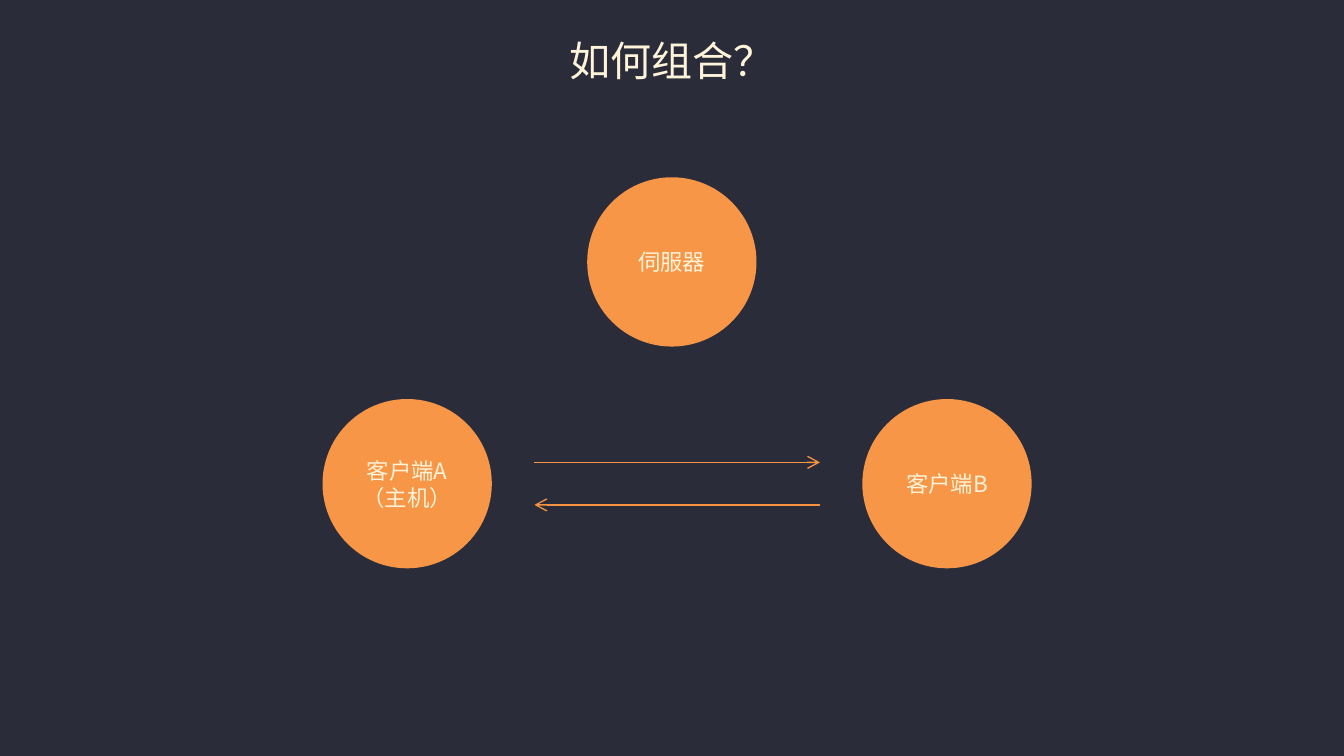
"""Builds a slide that asks how a server and two clients are combined."""
from lxml import etree
from pptx import Presentation
from pptx import util as u
from pptx.dml.color import RGBColor
from pptx.enum import lang, shapes, text
from pptx.oxml import ns

COLORS = {"background": "2A2C3A", "node": "F79646", "arrow": "F69240", "text": "FFF3D9"}
FONT = "Noto Sans CJK SC"
DIAMETER = 90.7
CLIENT_TOP = 213.8
NODES = [
    ("伺服器", 314.6, 95),
    ("客户端B", 462, CLIENT_TOP),
    ("客户端A（主机）", 172.8, CLIENT_TOP),
]
ARROW_LEFT, ARROW_RIGHT = 286.3, 439.3
ARROWS = [(ARROW_LEFT, ARROW_RIGHT, 247.7), (ARROW_RIGHT, ARROW_LEFT, 270.5)]


def color(name):
    return RGBColor.from_string(COLORS[name])


def write(shape, words, size):
    frame = shape.text_frame
    frame.word_wrap = True
    frame.vertical_anchor = text.MSO_ANCHOR.MIDDLE
    para = frame.paragraphs[0]
    para.alignment = text.PP_ALIGN.CENTER
    span = para.add_run()
    span.text = words
    span.font.size = u.Pt(size)
    span.font.name = FONT
    span.font.language_id = lang.MSO_LANGUAGE_ID.SIMPLIFIED_CHINESE
    span.font.color.rgb = color("text")
    east_asian = etree.SubElement(span.font._element, ns.qn("a:ea"))
    east_asian.set("typeface", FONT)


def add_title(slide, words):
    box = slide.shapes.add_textbox(u.Pt(36), u.Pt(15.1), u.Pt(648), u.Pt(33.8))
    write(box, words, 22)


def add_node(slide, words, left, top):
    node = slide.shapes.add_shape(
        shapes.MSO_SHAPE.OVAL, u.Pt(left), u.Pt(top), u.Pt(DIAMETER), u.Pt(DIAMETER))
    node.shadow.inherit = False
    node.fill.solid()
    node.fill.fore_color.rgb = color("node")
    node.line.fill.background()
    write(node, words, 12)


def add_arrow(slide, start, end, y):
    arrow = slide.shapes.add_connector(
        shapes.MSO_CONNECTOR.STRAIGHT, u.Pt(start), u.Pt(y), u.Pt(end), u.Pt(y))
    arrow.line.color.rgb = color("arrow")
    arrow.line.width = u.Pt(0.75)
    properties = arrow._element.spPr
    etree.SubElement(properties.find(ns.qn("a:ln")), ns.qn("a:tailEnd")).set("type", "arrow")
    etree.SubElement(properties, ns.qn("a:effectLst"))


def main():
    deck = Presentation()
    deck.slide_width, deck.slide_height = u.Pt(720), u.Pt(405)
    slide = deck.slides.add_slide(deck.slide_layouts[6])
    slide.background.fill.solid()
    slide.background.fill.fore_color.rgb = color("background")
    add_title(slide, "如何组合？")
    for words, left, top in NODES:
        add_node(slide, words, left, top)
    for start, end, y in ARROWS:
        add_arrow(slide, start, end, y)
    deck.save("out.pptx")


if __name__ == "__main__":
    main()
